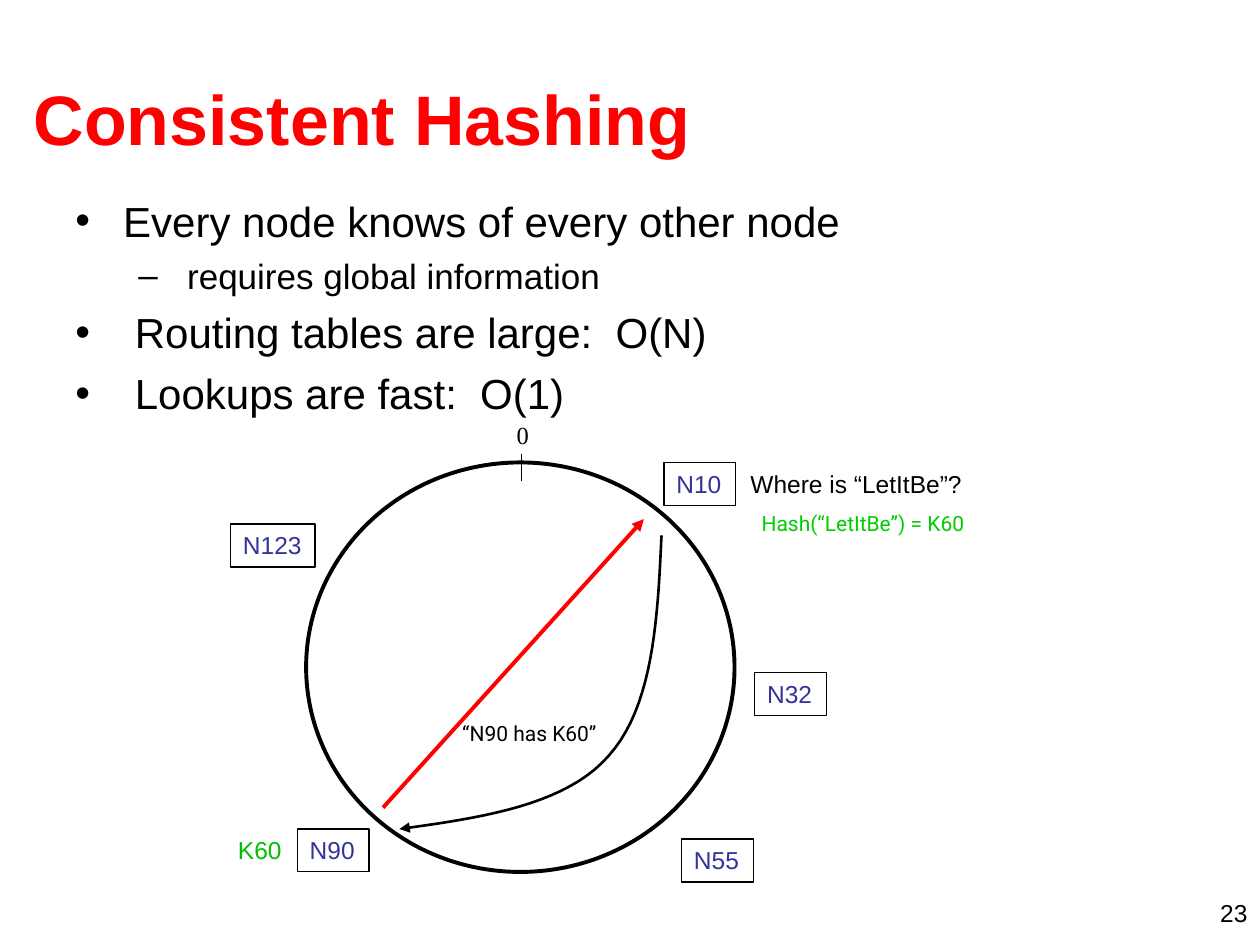
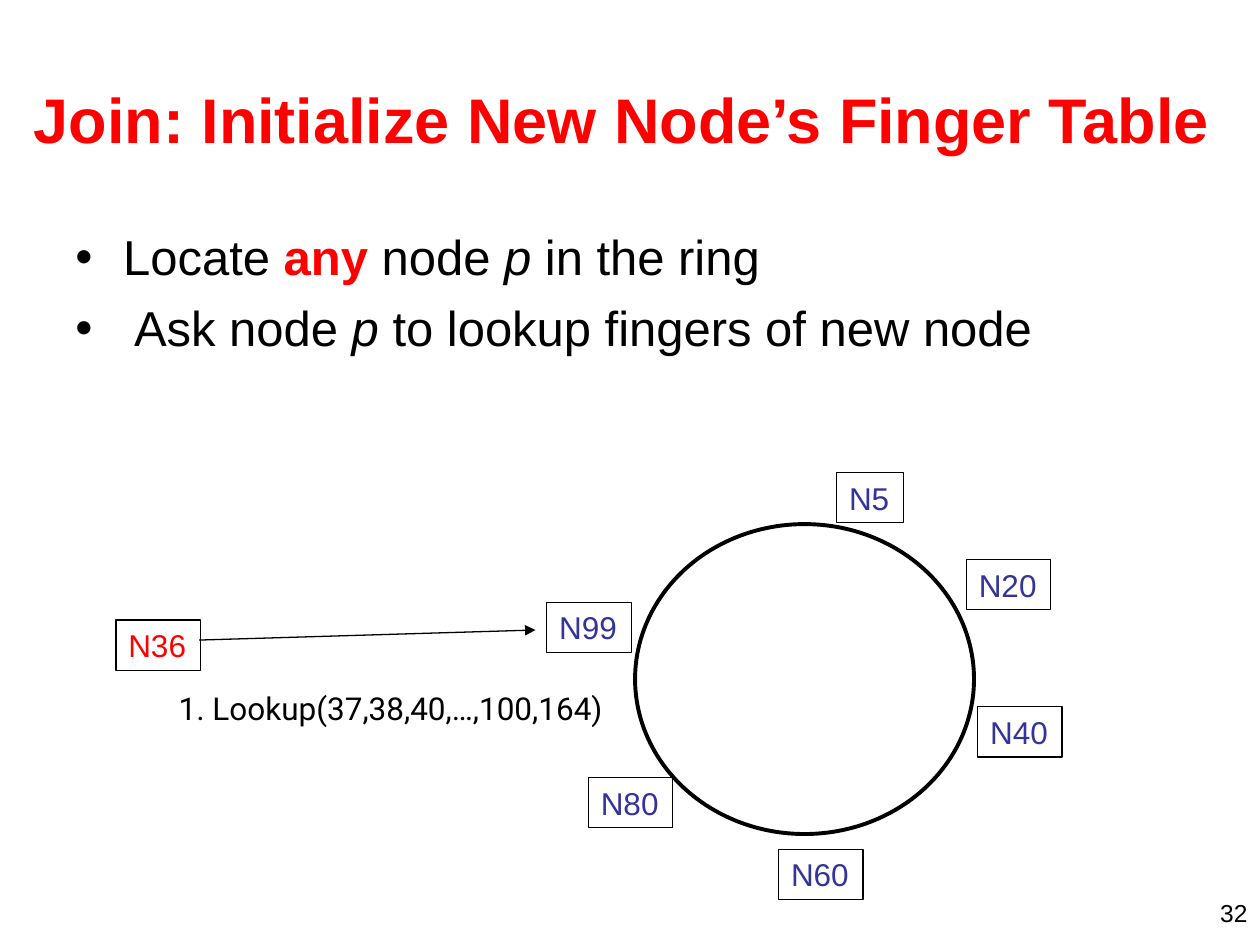
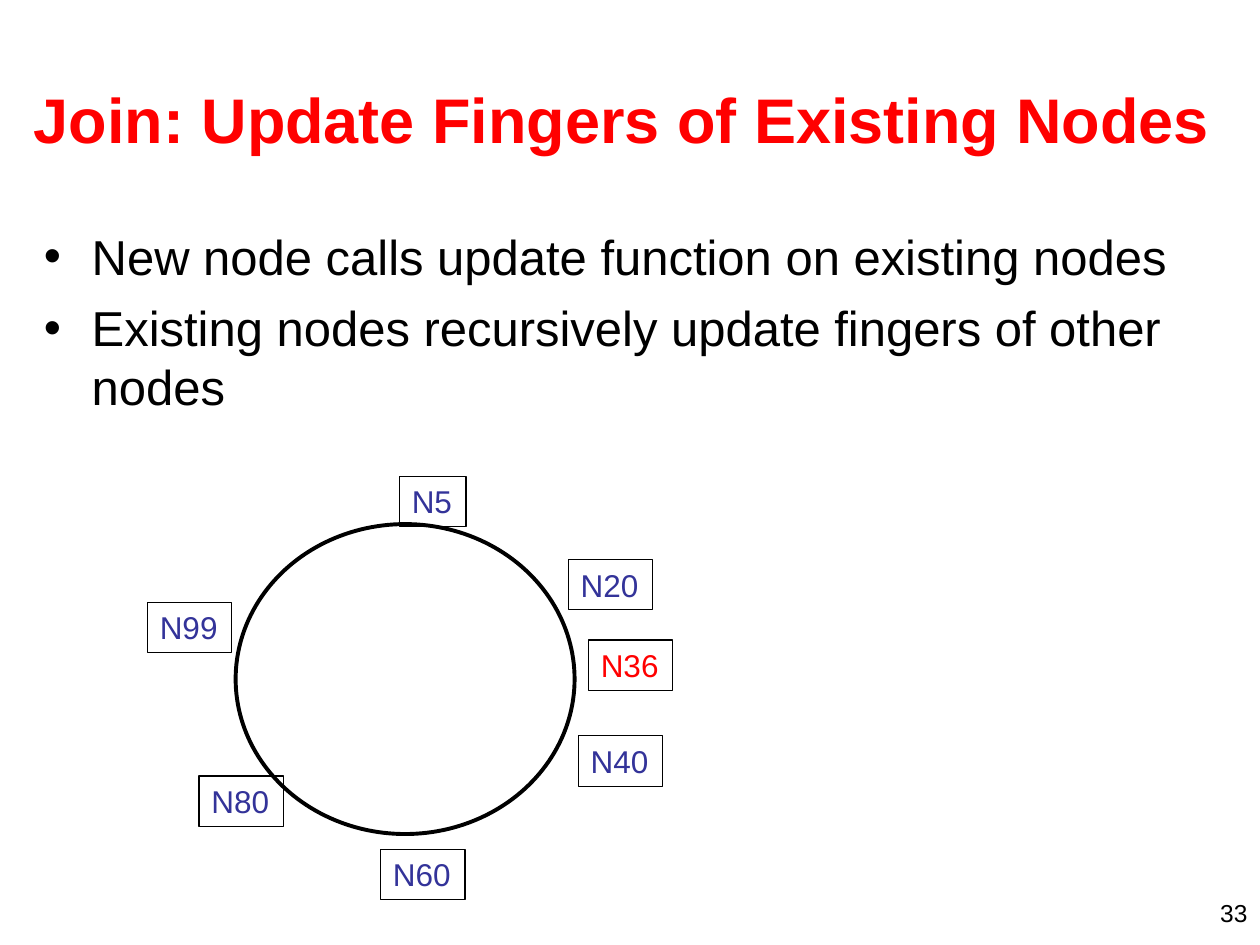
from dataclasses import dataclass
from typing import Any

import pptx
import pptx.dml.color
import pptx.enum.shapes
import pptx.enum.text
import pptx.oxml
import pptx.oxml.ns
import pptx.util

Inches = pptx.util.Inches
ALIGN = pptx.enum.text.PP_ALIGN
ANCHOR = pptx.enum.text.MSO_ANCHOR
BLACK, RED, NAVY = "000000", "FF0000", "333399"
KEY_GREEN, HASH_GREEN = "00BE00", "00CC00"


@dataclass(frozen=True)
class Span:
    text: str
    size: float
    color: str = BLACK
    font: str = "Arial"
    bold: bool = False
    italic: bool = False


@dataclass(frozen=True)
class Label:
    span: Span
    left: float
    top: float
    width: float
    height: float
    align: Any = ALIGN.LEFT
    anchor: Any = ANCHOR.TOP
    wrap: bool = False


@dataclass(frozen=True)
class Node:
    name: str
    left: float
    top: float
    color: str = NAVY


@dataclass(frozen=True)
class Area:
    left: float
    top: float
    width: float
    height: float


@dataclass(frozen=True)
class Arrow:
    start: tuple[float, float]
    end: tuple[float, float]
    color: str = BLACK
    weight: float = 0.75
    head: bool = True


@dataclass(frozen=True)
class Bullet:
    spans: list[Span]
    level: int = 0


@dataclass(frozen=True)
class Level:
    mark: str
    margin: float
    hanging: float


LEVELS = [Level("•", 0.38, 0.38), Level("–", 0.81, 0.31)]


def rgb(value: str) -> Any:
    return pptx.dml.color.RGBColor.from_string(value)


def set_values(target: Any, values: dict[str, Any]) -> None:
    for name, value in values.items():
        setattr(target, name, value)


def add_child(parent: Any, tag: str, **attributes: str) -> Any:
    child = pptx.oxml.parse_xml(f"<a:{tag} {pptx.oxml.ns.nsdecls('a')}/>")
    for name, value in attributes.items():
        child.set(name, value)
    parent.append(child)
    return child


def write_span(para: Any, span: Span) -> None:
    run = para.add_run()
    run.text = span.text
    set_values(run.font, {"name": span.font, "size": pptx.util.Pt(span.size),
                          "bold": span.bold, "italic": span.italic})
    run.font.color.rgb = rgb(span.color)


def set_frame(box: Any, anchor: Any, wrap: bool) -> None:
    side, edge = Inches(0.1), Inches(0.05)
    fit = pptx.enum.text.MSO_AUTO_SIZE
    set_values(box.text_frame, {
        "margin_left": side, "margin_right": side, "margin_top": edge, "margin_bottom": edge,
        "vertical_anchor": anchor, "word_wrap": wrap,
        "auto_size": fit.NONE if wrap else fit.SHAPE_TO_FIT_TEXT})


def draw_label(page: Any, label: Label) -> None:
    box = page.shapes.add_textbox(Inches(label.left), Inches(label.top),
                                  Inches(label.width), Inches(label.height))
    set_frame(box, label.anchor, label.wrap)
    para = box.text_frame.paragraphs[0]
    para.alignment = label.align
    write_span(para, label.span)


def draw_outline(page: Any, kind: Any, area: Area, weight: float) -> Any:
    shape = page.shapes.add_shape(kind, Inches(area.left), Inches(area.top),
                                  Inches(area.width), Inches(area.height))
    shape.shadow.inherit = False
    shape.fill.background()
    shape.line.color.rgb = rgb(BLACK)
    shape.line.width = pptx.util.Pt(weight)
    return shape


def draw_node(page: Any, node: Node, size: float) -> None:
    ems = 0.722 + 0.556 * (len(node.name) - 1)
    area = Area(node.left, node.top, round(0.21 + ems * size / 72, 2),
                round(0.105 + 1.2 * size / 72, 2))
    box = draw_outline(page, pptx.enum.shapes.MSO_SHAPE.RECTANGLE, area, 0.75)
    set_frame(box, ANCHOR.TOP, False)
    para = box.text_frame.paragraphs[0]
    para.alignment = ALIGN.LEFT
    write_span(para, Span(node.name, size, node.color))


def style_line(line: Any, color: str, weight: float, head: bool) -> None:
    line.color.rgb = rgb(color)
    line.width = pptx.util.Pt(weight)
    if head:
        add_child(line._get_or_add_ln(), "tailEnd", type="triangle")


def draw_arrow(page: Any, arrow: Arrow) -> None:
    ends = [Inches(value) for value in arrow.start + arrow.end]
    connector = page.shapes.add_connector(pptx.enum.shapes.MSO_CONNECTOR.STRAIGHT, *ends)
    style_line(connector.line, arrow.color, arrow.weight, arrow.head)
    add_child(connector._element.spPr, "effectLst")


def curve_points(corners: list[tuple[float, float]], steps: int = 20) -> list[tuple[int, int]]:
    points = []
    for step in range(1, steps + 1):
        t = step / steps
        weights = [(1 - t) ** 3, 3 * t * (1 - t) ** 2, 3 * t * t * (1 - t), t ** 3]
        points.append(tuple(Inches(sum(w * corner[axis] for w, corner in zip(weights, corners)))
                            for axis in (0, 1)))
    return points


def draw_reply_curve(page: Any) -> None:
    start, bend, end = (5.25, 4.25), (4.83, 6), (3.17, 6.58)
    points = curve_points([start, (5.22, 4.93), (5.18, 5.61), bend])
    points += curve_points([bend, (4.49, 6.39), (3.83, 6.49), end])
    builder = page.shapes.build_freeform(Inches(start[0]), Inches(start[1]))
    builder.add_line_segments(points, close=False)
    curve = builder.convert_to_shape()
    curve.shadow.inherit = False
    curve.fill.background()
    style_line(curve.line, BLACK, 1.5, True)


def draw_bullets(page: Any, bullets: list[Bullet], area: Area) -> None:
    box = page.shapes.add_textbox(Inches(area.left), Inches(area.top),
                                  Inches(area.width), Inches(area.height))
    set_frame(box, ANCHOR.TOP, True)
    frame = box.text_frame
    for index, bullet in enumerate(bullets):
        para = frame.add_paragraph() if index else frame.paragraphs[0]
        level = LEVELS[bullet.level]
        para.level = bullet.level
        if index:
            para.space_before = pptx.util.Pt(bullet.spans[0].size // 4)
        properties = para._p.get_or_add_pPr()
        properties.set("marL", str(Inches(level.margin)))
        properties.set("indent", str(-Inches(level.hanging)))
        add_child(add_child(properties, "buClr"), "srgbClr", val=BLACK)
        add_child(properties, "buFont", typeface="Arial")
        add_child(properties, "buChar", char=level.mark)
        for span in bullet.spans:
            write_span(para, span)


def add_page(deck: Any, title: str, number: int, title_size: float = 36,
             title_width: float = 9.58) -> Any:
    page = deck.slides.add_slide(deck.slide_layouts[6])
    draw_label(page, Label(Span(title, title_size, RED, bold=True), 0.17, 0.31, title_width, 1.25,
                           anchor=ANCHOR.MIDDLE, wrap=True))
    draw_label(page, Label(Span(str(number), 14), 7.67, 7.08, 2.33, 0.25,
                           align=ALIGN.RIGHT, wrap=True))
    return page


def draw_diagram(page: Any, ring: Area, nodes: list[Node], size: float) -> None:
    draw_outline(page, pptx.enum.shapes.MSO_SHAPE.OVAL, ring, 2.25)
    for node in nodes:
        draw_node(page, node, size)


def build_hashing(deck: Any) -> None:
    page = add_page(deck, "Consistent Hashing", 23, title_size=40)
    draw_diagram(page, Area(2.43, 3.67, 3.4, 3.25), [
        Node("N10", 5.27, 3.67), Node("N32", 5.99, 5.34), Node("N55", 5.41, 6.66),
        Node("N90", 2.36, 6.58), Node("N123", 1.83, 4.16)], 14)
    centred = {"align": ALIGN.CENTER, "anchor": ANCHOR.MIDDLE}
    for label in [
        Label(Span("0", 14, font="Times New Roman"), 4, 3.28, 0.3, 0.34, **centred),
        Label(Span("Hash(“LetItBe”) = K60", 12, HASH_GREEN, "Roboto"),
              5.92, 4, 1.86, 0.3, **centred),
        Label(Span("Where is “LetItBe”?", 14), 5.39, 3.67, 2.81, 0.34, wrap=True, **centred),
        Label(Span("“N90 has K60”", 12, font="Roboto"), 3.57, 5.67, 1.3, 0.3),
        Label(Span("K60", 14, KEY_GREEN), 1.79, 6.58, 0.57, 0.34),
    ]:
        draw_label(page, label)
    draw_arrow(page, Arrow((4.14, 3.6), (4.14, 3.82), head=False))
    draw_arrow(page, Arrow((3.04, 6.41), (5.11, 4.12), RED, 2.25))
    draw_reply_curve(page)
    draw_bullets(page, [
        Bullet([Span("Every node knows of every other node", 24)]),
        Bullet([Span(" requires global information", 20)], 1),
        Bullet([Span(" Routing tables are large:  O(N)", 24)]),
        Bullet([Span(" Lookups are fast:  O(1)", 24)])], Area(0.5, 1.5, 9, 2.2))


def build_initialize(deck: Any) -> None:
    page = add_page(deck, "Join: Initialize New Node’s Finger Table", 32, title_width=9.83)
    draw_diagram(page, Area(5.04, 4.16, 2.69, 2.46), [
        Node("N5", 6.64, 3.75), Node("N20", 7.67, 4.44), Node("N36", 0.92, 4.92, RED),
        Node("N40", 7.76, 5.61), Node("N60", 6.18, 6.74), Node("N80", 4.67, 6.17),
        Node("N99", 4.34, 4.78)], 18)
    draw_label(page, Label(Span("1. Lookup(37,38,40,…,100,164)", 18, font="Roboto"),
                           1.32, 5.42, 3.77, 0.4))
    draw_arrow(page, Arrow((1.58, 5.08), (4.25, 5)))
    node_p = Span("p", 28, italic=True)
    draw_bullets(page, [
        Bullet([Span("Locate ", 28), Span("any", 28, RED, bold=True), Span(" node ", 28),
                node_p, Span(" in the ring", 28)]),
        Bullet([Span(" Ask node ", 28), node_p, Span(" to lookup fingers of new node", 28)])],
        Area(0.5, 1.75, 9, 4.95))


def build_update(deck: Any) -> None:
    page = add_page(deck, "Join: Update Fingers of Existing Nodes", 33)
    draw_diagram(page, Area(1.87, 4.16, 2.69, 2.46), [
        Node("N5", 3.17, 3.78), Node("N20", 4.51, 4.44), Node("N36", 4.67, 5.08, RED),
        Node("N40", 4.59, 5.84), Node("N60", 3.02, 6.74), Node("N80", 1.58, 6.16),
        Node("N99", 1.17, 4.78)], 18)
    draw_bullets(page, [
        Bullet([Span("New node calls update function on existing nodes", 28)]),
        Bullet([Span("Existing nodes recursively update fingers of other nodes", 28)])],
        Area(0.25, 1.75, 9.5, 1.67))


def main() -> None:
    deck = pptx.Presentation()
    set_values(deck, {"slide_width": Inches(10), "slide_height": Inches(7.5)})
    build_hashing(deck)
    build_initialize(deck)
    build_update(deck)
    deck.save("out.pptx")


if __name__ == "__main__":
    main()
